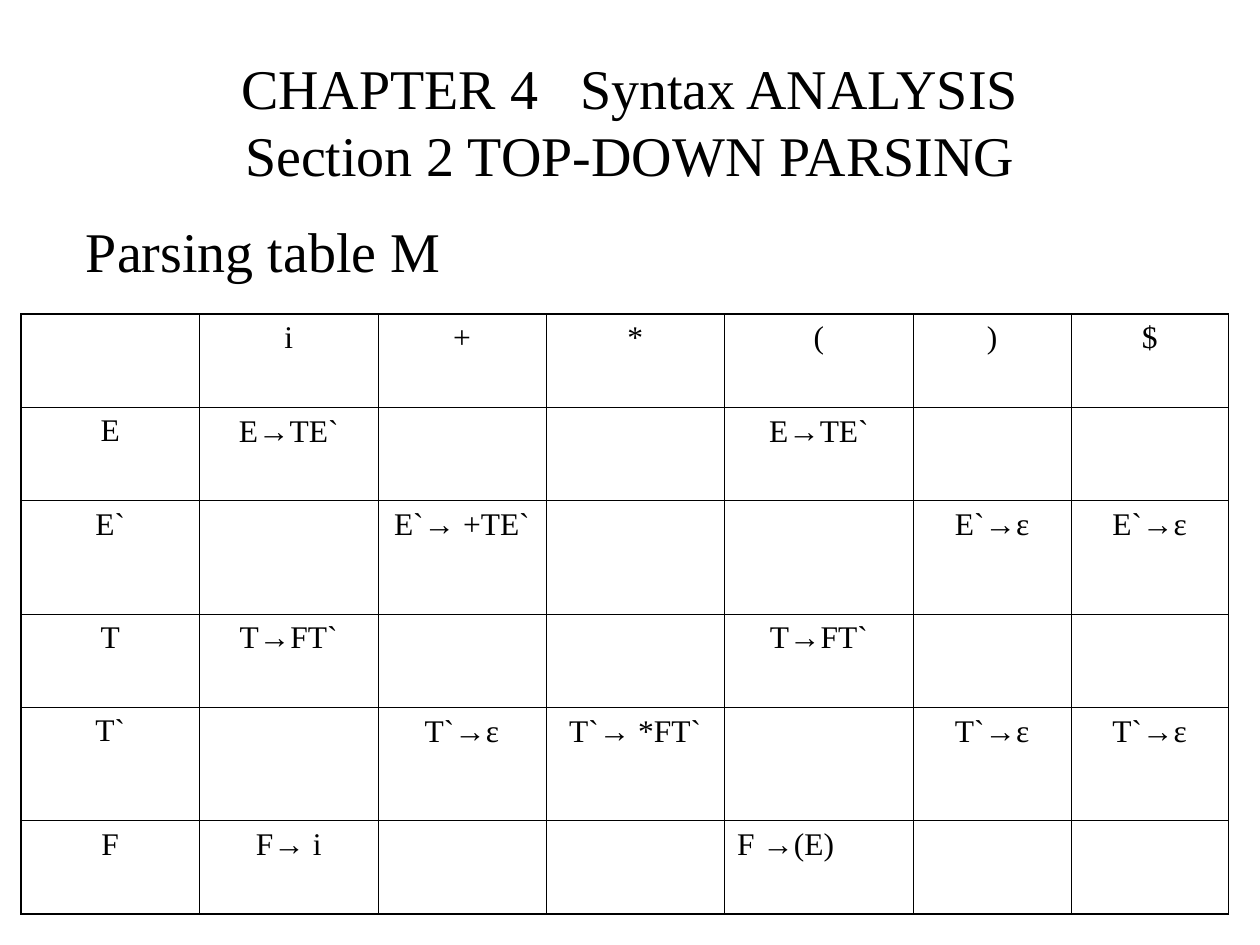
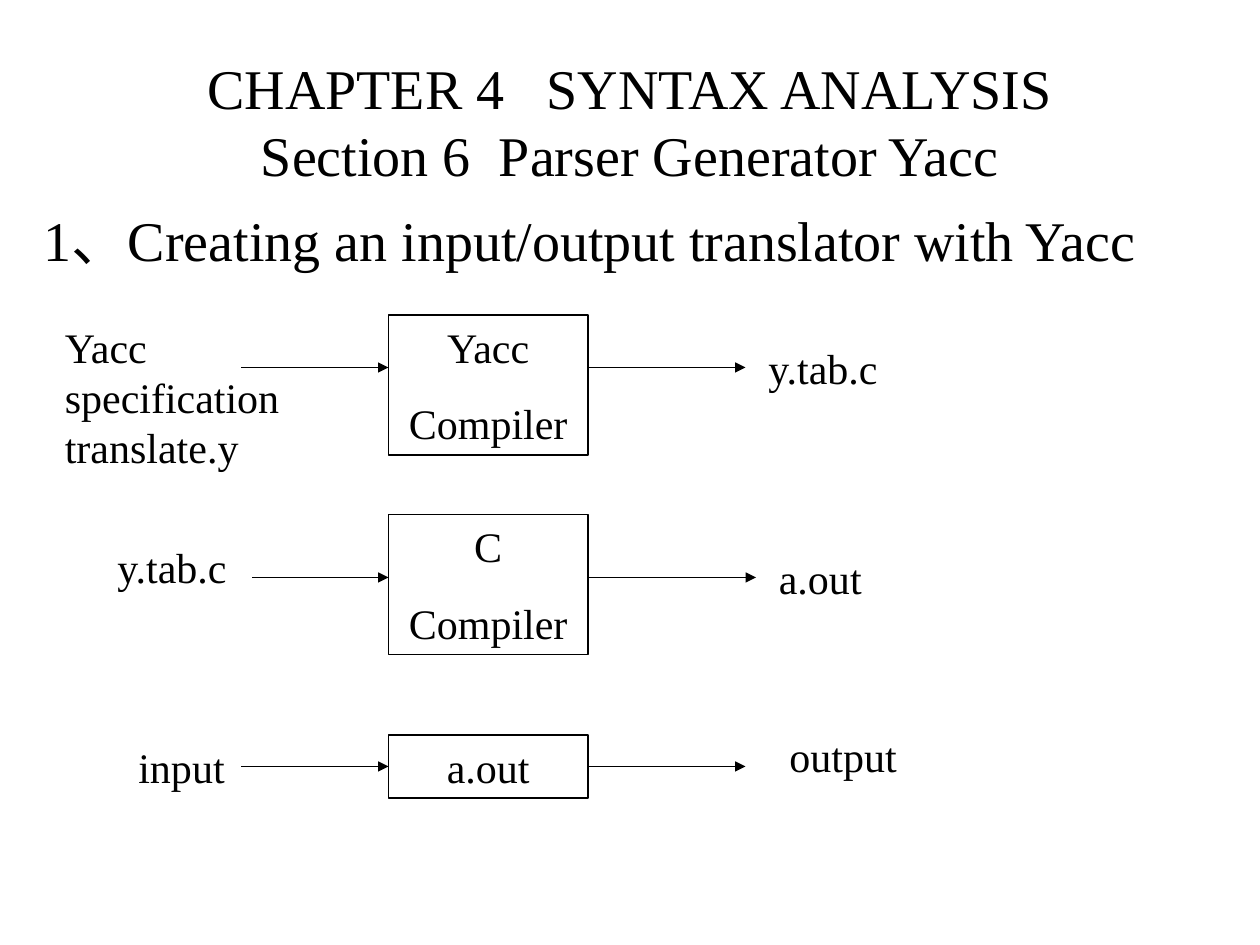
from dataclasses import dataclass

from lxml.etree import SubElement
from pptx import Presentation
from pptx.dml.color import RGBColor
from pptx.enum.shapes import MSO_CONNECTOR, MSO_SHAPE
from pptx.enum.text import MSO_ANCHOR, PP_ALIGN
from pptx.oxml.ns import qn
from pptx.util import Pt

COLORS = {"ink": "000000"}
INK = RGBColor.from_string(COLORS["ink"])
SERIF, SANS = "Times New Roman", "Arial"
HEADING_SIZE, DIAGRAM_SIZE, TABLE_SIZE = 32, 24, 18
ARROW = "→"
THIN, THICK = 0.45, 1.08

COLUMN_WIDTHS = [102, 102, 96, 102, 108, 90, 90]
ROW_HEIGHTS = [53.3, 53.3, 64.8, 53.3, 64.8, 53.3]
PARSING_TABLE = [
    ["", "i", "+", "*", "(", ")", "$"],
    ["E", "E→TE`", "", "", "E→TE`", "", ""],
    ["E`", "", "E`→ +TE`", "", "", "E`→ε", "E`→ε"],
    ["T", "T→FT`", "", "", "T→FT`", "", ""],
    ["T`", "", "T`→ε", "T`→ *FT`", "", "T`→ε", "T`→ε"],
    ["F", "F→ i", "", "", "F →(E)", "", ""],
]
LEFT_ALIGNED_ENTRY = "F →(E)"

BOX_LEFT, BOX_WIDTH = 222, 114


@dataclass(frozen=True)
class Area:
    left: float
    top: float
    width: float
    height: float

    def lengths(self) -> tuple:
        return Pt(self.left), Pt(self.top), Pt(self.width), Pt(self.height)


@dataclass(frozen=True)
class Label:
    text: str
    area: Area


@dataclass(frozen=True)
class Stage:
    source: Label
    box_lines: list
    box_top: float
    box_height: float
    arrow_y: float
    arrow_start: float
    arrow_end: float
    result: Label


TITLE_AREA = Area(54, 12, 612, 114)

STAGES = [
    Stage(Label("Yacc specification translate.y", Area(30, 180, 150, 93.6)),
          ["Yacc", "Compiler"], 180, 80, 210, 138, 426,
          Label("y.tab.c", Area(432, 192, 144, 36))),
    Stage(Label("y.tab.c", Area(60, 306, 114, 36)),
          ["C", "Compiler"], 294, 80, 330, 144, 432,
          Label("a.out", Area(438, 312, 150, 36))),
    Stage(Label("input", Area(72, 420, 72, 36)),
          ["a.out"], 420, 36, 438, 138, 426,
          Label("output", Area(444, 414, 96, 36))),
]


def add_run(paragraph, text: str, size: float, font_name: str = SERIF) -> None:
    run = paragraph.add_run()
    run.text = text
    run.font.size = Pt(size)
    run.font.name = font_name
    run.font.color.rgb = INK


def add_titled_slide(presentation, chapter: str, section: str):
    slide = presentation.slides.add_slide(presentation.slide_layouts[5])
    title = slide.shapes.title
    title.left, title.top, title.width, title.height = TITLE_AREA.lengths()
    title.text_frame.vertical_anchor = MSO_ANCHOR.MIDDLE
    paragraph = title.text_frame.paragraphs[0]
    paragraph.alignment = PP_ALIGN.CENTER
    add_run(paragraph, chapter, HEADING_SIZE)
    paragraph.add_line_break()
    add_run(paragraph, section, HEADING_SIZE)
    return slide


def add_label(slide, label: Label, size: float) -> None:
    text_box = slide.shapes.add_textbox(*label.area.lengths())
    text_box.text_frame.word_wrap = True
    add_run(text_box.text_frame.paragraphs[0], label.text, size)


def add_box(slide, lines: list, area: Area) -> None:
    box = slide.shapes.add_shape(MSO_SHAPE.RECTANGLE, *area.lengths())
    box.shadow.inherit = False
    box.fill.background()
    box.line.color.rgb = INK
    box.line.width = Pt(0.75)
    frame = box.text_frame
    frame.word_wrap = True
    frame.vertical_anchor = MSO_ANCHOR.TOP
    for index, line in enumerate(lines):
        paragraph = frame.add_paragraph() if index else frame.paragraphs[0]
        paragraph.alignment = PP_ALIGN.CENTER
        if index:
            paragraph.space_before = Pt(15)
        add_run(paragraph, line, DIAGRAM_SIZE)


def add_arrow(slide, start: float, end: float, y: float) -> None:
    arrow = slide.shapes.add_connector(
        MSO_CONNECTOR.STRAIGHT, Pt(start), Pt(y), Pt(end), Pt(y))
    arrow.line.color.rgb = INK
    arrow.line.width = Pt(0.75)
    SubElement(arrow.line._get_or_add_ln(), qn("a:tailEnd"), type="triangle")
    SubElement(arrow._element.spPr, qn("a:effectLst"))


def add_stage(slide, stage: Stage) -> None:
    add_box(slide, stage.box_lines,
            Area(BOX_LEFT, stage.box_top, BOX_WIDTH, stage.box_height))
    add_arrow(slide, stage.arrow_start, BOX_LEFT, stage.arrow_y)
    add_arrow(slide, BOX_LEFT + BOX_WIDTH, stage.arrow_end, stage.arrow_y)
    for label in (stage.source, stage.result):
        add_label(slide, label, DIAGRAM_SIZE)


def set_borders(cell, outer_sides: dict) -> None:
    properties = cell._tc.get_or_add_tcPr()
    for position, (side, is_outer) in enumerate(outer_sides.items()):
        line = SubElement(properties, qn(f"a:{side}"),
                          w=str(Pt(THICK if is_outer else THIN)))
        fill = SubElement(line, qn("a:solidFill"))
        SubElement(fill, qn("a:srgbClr"), val=COLORS["ink"])
        properties.insert(position, line)


def fill_entry(cell, entry: str) -> None:
    paragraph = cell.text_frame.paragraphs[0]
    if entry != LEFT_ALIGNED_ENTRY:
        paragraph.alignment = PP_ALIGN.CENTER
    for part in entry.partition(ARROW):
        if part:
            add_run(paragraph, part, TABLE_SIZE, SANS if part == ARROW else SERIF)


def add_parsing_table(slide) -> None:
    last_row, last_column = len(ROW_HEIGHTS) - 1, len(COLUMN_WIDTHS) - 1
    area = Area(12, 179.5, sum(COLUMN_WIDTHS), sum(ROW_HEIGHTS))
    table = slide.shapes.add_table(
        len(ROW_HEIGHTS), len(COLUMN_WIDTHS), *area.lengths()).table
    table.first_row = False
    table.horz_banding = False
    for column, width in zip(table.columns, COLUMN_WIDTHS):
        column.width = Pt(width)
    for row, height in zip(table.rows, ROW_HEIGHTS):
        row.height = Pt(height)
    for row_index, entries in enumerate(PARSING_TABLE):
        for column_index, entry in enumerate(entries):
            cell = table.cell(row_index, column_index)
            cell.fill.background()
            set_borders(cell, {
                "lnL": column_index == 0, "lnR": column_index == last_column,
                "lnT": row_index == 0, "lnB": row_index == last_row})
            fill_entry(cell, entry)


def main() -> None:
    presentation = Presentation()
    presentation.slide_width, presentation.slide_height = Pt(720), Pt(540)

    table_slide = add_titled_slide(
        presentation, "CHAPTER 4   Syntax ANALYSIS", "Section 2 TOP-DOWN PARSING")
    add_label(table_slide, Label("Parsing table M", Area(42, 120, 612, 360)),
              HEADING_SIZE)
    add_parsing_table(table_slide)

    yacc_slide = add_titled_slide(
        presentation, "CHAPTER 4   SYNTAX ANALYSIS",
        "Section 6  Parser Generator Yacc")
    add_label(yacc_slide,
              Label("1、Creating an input/output translator with Yacc",
                    Area(18, 114, 666, 408)), HEADING_SIZE)
    for stage in STAGES:
        add_stage(yacc_slide, stage)

    presentation.save("out.pptx")


if __name__ == "__main__":
    main()
